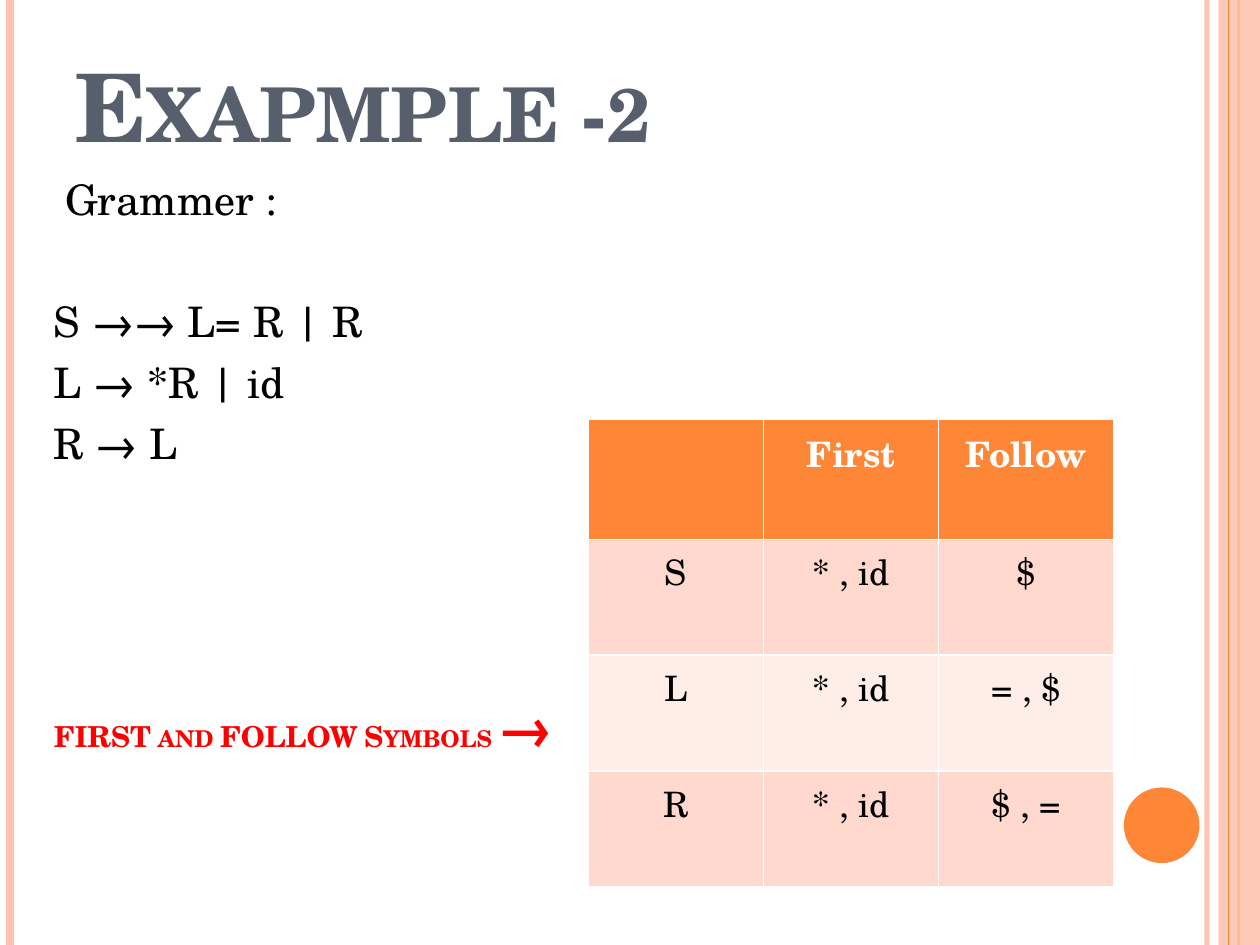
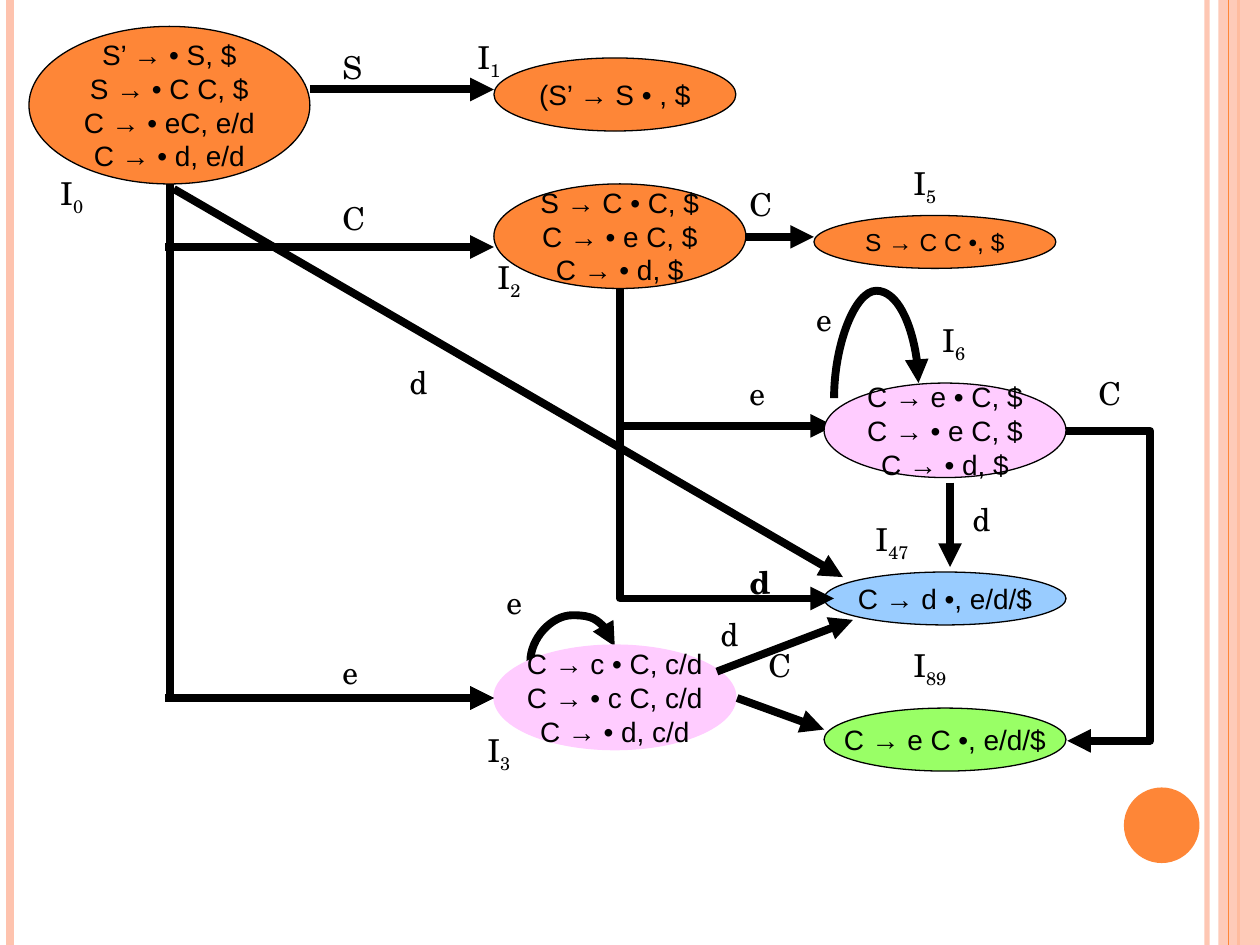
from dataclasses import dataclass
from typing import Optional

from pptx import Presentation
from pptx.dml.color import RGBColor
from pptx.enum.shapes import MSO_CONNECTOR, MSO_SHAPE
from pptx.enum.text import MSO_ANCHOR, PP_ALIGN
from pptx.oxml import parse_xml
from pptx.oxml.ns import nsdecls, qn
from pptx.util import Inches, Pt

COLORS = {
    "orange": "FE8637", "peach": "FEC3AE", "slate": "575F6D", "red": "FF0000",
    "black": "000000", "white": "FFFFFF", "band_dark": "FFD9CE", "band_light": "FFEDE8",
    "pink": "FFCCFF", "blue": "99CCFF", "green": "99FF66",
}
SERIF, SANS = "TeX Gyre Schola", "Arial"


@dataclass
class Stripe:
    x: float
    color: str
    width: float
    alpha: Optional[int] = None


@dataclass
class State:
    x: float
    y: float
    w: float
    h: float
    fill: str
    items: list[str]
    size: float = 16
    line: str = "black"


@dataclass
class Edge:
    x1: float
    y1: float
    x2: float
    y2: float
    preset: str = "line"
    adj: Optional[float] = None
    upright: bool = False  # leaves its state vertically


@dataclass
class Label:
    x: float
    y: float
    text: str
    sub: str = ""
    bold: bool = False


# Shared helpers
def rgb(name: str) -> RGBColor:
    return RGBColor.from_string(COLORS[name])


def style(p, size: float, color: str = "black", font: str = SERIF, bold: bool = False) -> None:
    p.font.size, p.font.name, p.font.bold = Pt(size), font, bold
    p.font.color.rgb = rgb(color)


def small_caps(r) -> None:
    r._r.get_or_add_rPr().set("cap", "small")


def set_alpha(sp, percent: int) -> None:
    clr = next(sp._element.spPr.iter(qn("a:srgbClr")))
    clr.append(parse_xml(f'<a:alpha {nsdecls("a")} val="{percent * 1000}"/>'))


def add_line(slide, kind, x1: float, y1: float, x2: float, y2: float, color: str, width: float):
    cx = slide.shapes.add_connector(kind, Inches(x1), Inches(y1), Inches(x2), Inches(y2))
    cx.line.color.rgb, cx.line.width = rgb(color), Pt(width)
    cx._element.spPr.append(parse_xml(f'<a:effectLst {nsdecls("a")}/>'))
    return cx


def add_shape(slide, kind, x: float, y: float, w: float, h: float, fill: str):
    sp = slide.shapes.add_shape(kind, Inches(x), Inches(y), Inches(w), Inches(h))
    sp.shadow.inherit = False
    sp.fill.solid()
    sp.fill.fore_color.rgb = rgb(fill)
    sp.line.fill.background()
    return sp


def add_text(slide, x: float, y: float, w: float, h: float):
    tf = slide.shapes.add_textbox(Inches(x), Inches(y), Inches(w), Inches(h)).text_frame
    tf.word_wrap = True
    return tf


def add_stripe(slide, s: Stripe) -> None:
    cx = add_line(slide, MSO_CONNECTOR.STRAIGHT, s.x, 0, s.x, 7.5, s.color, s.width)
    if s.alpha:
        set_alpha(cx, s.alpha)


def add_frame(slide) -> None:
    for s in (Stripe(9.58, "peach", 3, 93), Stripe(0.08, "peach", 4.5), Stripe(9.83, "orange", 1.5)):
        add_stripe(slide, s)
    set_alpha(add_shape(slide, MSO_SHAPE.RECTANGLE, 9.67, 0, 0.33, 7.5, "peach"), 87)
    add_stripe(slide, Stripe(9.75, "orange", 0.75))
    add_shape(slide, MSO_SHAPE.OVAL, 8.92, 6.25, 0.6, 0.6, "orange")


# Slide 1: grammar with its FIRST and FOLLOW table
GRAMMAR = ["Grammer :", "S →→ L= R | R", "L → *R | id", "R → L"]
SETS = [
    ["", "First", "Follow"],
    ["S", "* , id", "$"],
    ["L", "* , id", "= , $"],
    ["R", "* , id", "$ , ="],
]


def add_sets_table(slide) -> None:
    table = slide.shapes.add_table(len(SETS), 3, Inches(4.67), Inches(3.33),
                                   Inches(4.17), Inches(3.71)).table
    for col in table.columns:
        col.width = Inches(1.39)
    for i, row in enumerate(SETS):
        table.rows[i].height = Inches(0.92 if i else 0.95)
        fill = "orange" if i == 0 else "band_dark" if i % 2 else "band_light"
        for j, text in enumerate(row):
            cell = table.cell(i, j)
            cell.fill.solid()
            cell.fill.fore_color.rgb = rgb(fill)
            cell.text = text
            p = cell.text_frame.paragraphs[0]
            p.alignment = PP_ALIGN.CENTER
            style(p, 20, "black" if i else "white", bold=i == 0)


def build_grammar_slide(prs) -> None:
    slide = prs.slides.add_slide(prs.slide_layouts[5])
    add_frame(slide)

    title = slide.shapes.title
    title.left, title.top, title.width, title.height = Inches(0.5), Inches(0.3), Inches(9), Inches(1.03)
    tf = title.text_frame
    tf.vertical_anchor = MSO_ANCHOR.BOTTOM
    p = tf.paragraphs[0]
    p.alignment = PP_ALIGN.LEFT
    r = p.add_run()
    r.text = "Exapmple -2"
    small_caps(r)
    style(p, 54, "slate", bold=True)

    tf = add_text(slide, 0.33, 1.33, 9.42, 5.7)
    for i, rule in enumerate(GRAMMAR):
        p = tf.paragraphs[0] if i == 0 else tf.add_paragraph()
        p.text = rule
        if i == 0:
            p._p.get_or_add_pPr().set("marL", str(Inches(0.09)))
        else:
            p.space_before = Pt(41 if i == 1 else 6)
        style(p, 24)

    add_sets_table(slide)

    tf = add_text(slide, 0.33, 5.42, 4.42, 0.67)
    tf.vertical_anchor = MSO_ANCHOR.BOTTOM
    p = tf.paragraphs[0]
    p.line_spacing = 0.8
    style(p, 16.5, "red", bold=True)
    for text, size in (("FIRST and FOLLOW Symbols ", 16.5), ("→", 39.1)):
        r = p.add_run()
        r.text, r.font.size = text, Pt(size)
        small_caps(r)


# Slide 2: automaton of item sets
BACK_EDGES = [
    Edge(4.21, 5.25, 4.88, 5.13, "curvedConnector3", 3.06, True),
    Edge(4.92, 3.38, 6.62, 3.38),
    Edge(6.62, 3.16, 7.29, 3.04, "curvedConnector3", 7.1, True),
]
STATES = [
    State(3.92, 0.46, 1.92, 0.58, "orange", ["(S’ → S • , $"]),
    State(3.92, 1.46, 2, 0.83, "orange", ["S → C • C, $", "C → • e C, $", "C → • d, $"]),
    State(3.92, 5.12, 1.92, 0.83, "pink", ["C → c • C, c/d", "C → • c C, c/d", "C → • d, c/d"],
          line="pink"),
    State(6.46, 1.71, 1.92, 0.42, "orange", ["S → C C •, $"], 14),
    State(6.54, 3.04, 1.92, 0.75, "pink", ["C → e • C, $", "C → • e C, $", "C → • d, $"]),
    State(6.54, 4.54, 1.92, 0.42, "blue", ["C → d •, e/d/$"]),
    State(6.54, 5.62, 1.92, 0.5, "green", ["C → e C •, e/d/$"]),
    State(0.23, 0.21, 2.23, 1.25, "orange",
          ["S’ → • S, $", "S → • C C, $", "C → • eC, e/d", "C → • d, e/d"]),
]
FRONT_EDGES = [
    Edge(2.46, 0.71, 3.92, 0.71),
    Edge(1.35, 1.46, 3.92, 5.54, "bentConnector2", upright=True),
    Edge(1.31, 5.54, 3.92, 5.54),
    Edge(1.31, 1.96, 3.92, 1.96),
    Edge(4.92, 2.29, 6.62, 4.75, "bentConnector2", upright=True),
    Edge(5.92, 1.88, 6.46, 1.88),
    Edge(8.46, 3.42, 8.47, 5.88, "bentConnector3", 68),
    Edge(5.85, 5.54, 6.54, 5.79),
    Edge(7.54, 3.83, 7.54, 4.5),
    Edge(1.38, 1.5, 6.69, 4.58),
    Edge(5.69, 5.33, 6.77, 4.92),
]
LABELS = [
    # Symbols on the edges
    Label(2.62, 0.33, "S"), Label(2.62, 1.53, "C"), Label(2.62, 5.13, "e"),
    Label(5.85, 1.42, "C"), Label(5.85, 2.92, "e"), Label(5.85, 4.42, "d", bold=True),
    Label(8.62, 2.92, "C"), Label(3.92, 4.58, "e"), Label(6.38, 2.33, "e"),
    Label(6, 5.08, "C"), Label(7.62, 3.92, "d"), Label(3.15, 2.83, "d"), Label(5.62, 4.83, "d"),
    # Names of the states
    Label(0.38, 1.33, "I", "0"), Label(3.69, 0.25, "I", "1"), Label(3.85, 2, "I", "2"),
    Label(3.77, 5.75, "I", "3"), Label(7.15, 1.25, "I", "5"), Label(7.38, 2.5, "I", "6"),
    Label(6.85, 4.08, "I", "47"), Label(7.15, 5.08, "I", "89"),
]


def add_edge(slide, e: Edge) -> None:
    x1, y1, x2, y2 = e.x1, e.y1, e.x2, e.y2
    if e.upright:  # ends before the quarter turn about the centre
        mx, my, dx, dy = (x1 + x2) / 2, (y1 + y2) / 2, (x2 - x1) / 2, (y2 - y1) / 2
        x1, y1, x2, y2 = mx + dy, my - dx, mx - dy, my + dx
    kind = {"l": MSO_CONNECTOR.STRAIGHT, "b": MSO_CONNECTOR.ELBOW, "c": MSO_CONNECTOR.CURVE}[e.preset[0]]
    cx = add_line(slide, kind, x1, y1, x2, y2, "black", 4.5)
    props = cx._element.spPr
    props.find(qn("a:ln")).append(parse_xml(f'<a:tailEnd {nsdecls("a")} type="triangle"/>'))
    if e.upright:
        props.find(qn("a:xfrm")).set("rot", str(270 * 60000))
    geom = props.find(qn("a:prstGeom"))
    geom.set("prst", e.preset)
    if e.adj is not None:
        geom.find(qn("a:avLst")).append(
            parse_xml(f'<a:gd {nsdecls("a")} name="adj1" fmla="val {round(e.adj * 100000)}"/>'))


def add_state(slide, s: State) -> None:
    sp = add_shape(slide, MSO_SHAPE.OVAL, s.x, s.y, s.w, s.h, s.fill)
    sp.line.color.rgb, sp.line.width = rgb(s.line), Pt(0.75)
    tf = sp.text_frame
    tf.word_wrap, tf.vertical_anchor = False, MSO_ANCHOR.MIDDLE
    for i, item in enumerate(s.items):
        p = tf.paragraphs[0] if i == 0 else tf.add_paragraph()
        p.text, p.alignment = item, PP_ALIGN.CENTER
        style(p, s.size, font=SANS)


def add_label(slide, label: Label) -> None:
    p = add_text(slide, label.x, label.y, 0.77, 0.4).paragraphs[0]
    p.text = label.text
    style(p, 18, bold=label.bold)
    if label.sub:
        r = p.add_run()
        r.text = label.sub
        r._r.get_or_add_rPr().set("baseline", "-25000")


def build_automaton_slide(prs) -> None:
    slide = prs.slides.add_slide(prs.slide_layouts[6])
    add_frame(slide)
    for draw, parts in ((add_edge, BACK_EDGES), (add_state, STATES),
                        (add_edge, FRONT_EDGES), (add_label, LABELS)):
        for part in parts:
            draw(slide, part)


def main() -> None:
    prs = Presentation()
    prs.slide_width, prs.slide_height = Inches(10), Inches(7.5)
    build_grammar_slide(prs)
    build_automaton_slide(prs)
    prs.save("out.pptx")


if __name__ == "__main__":
    main()
